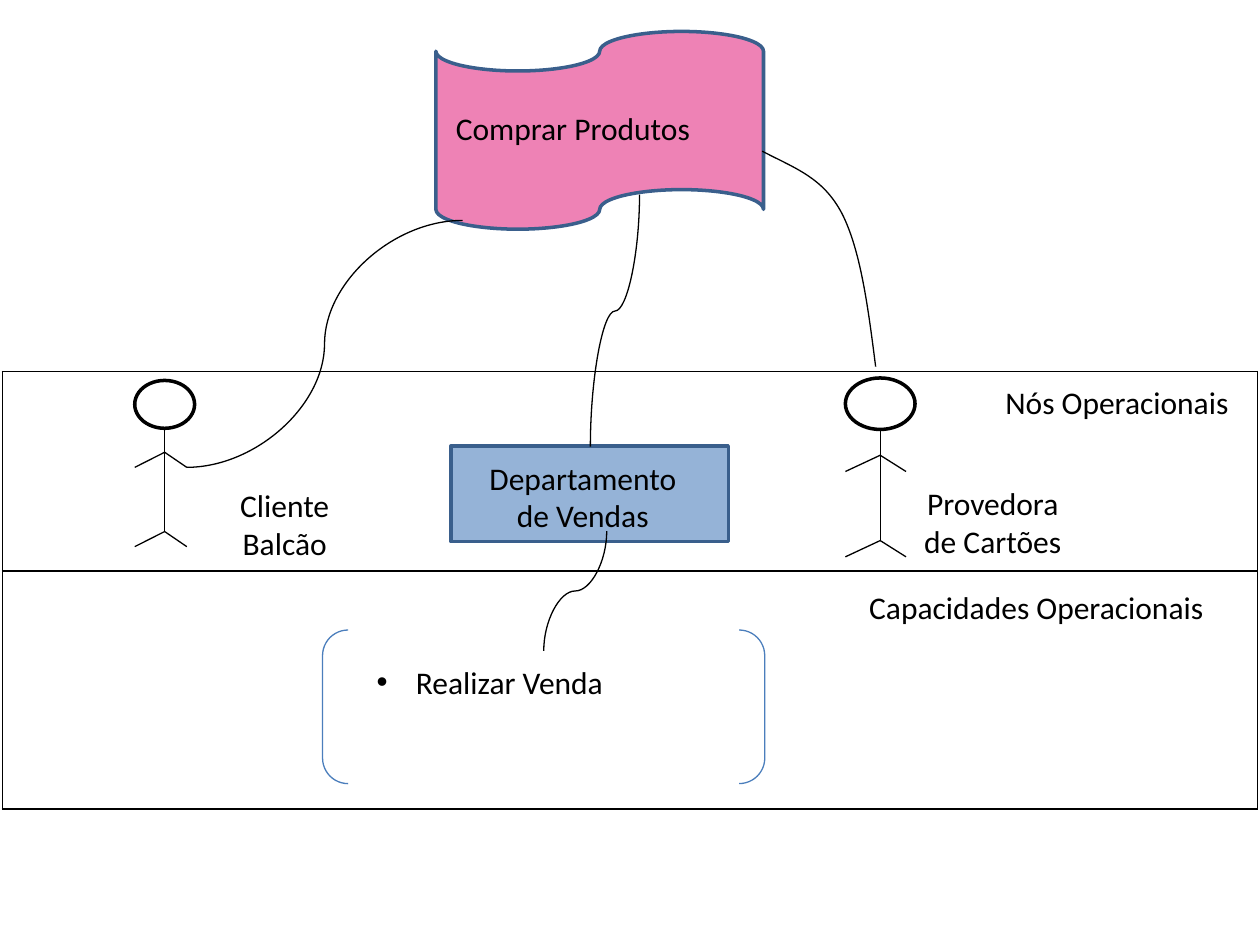
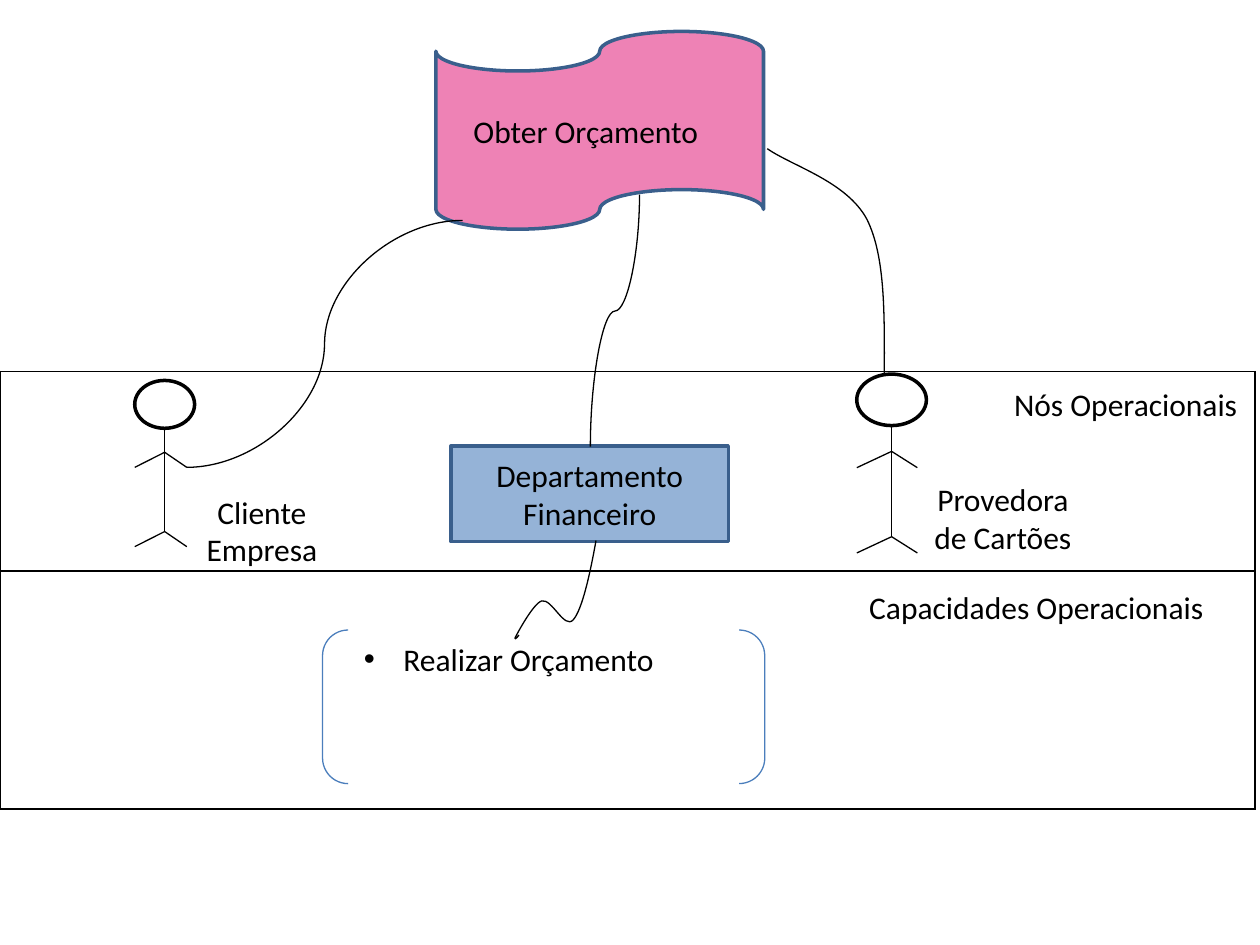
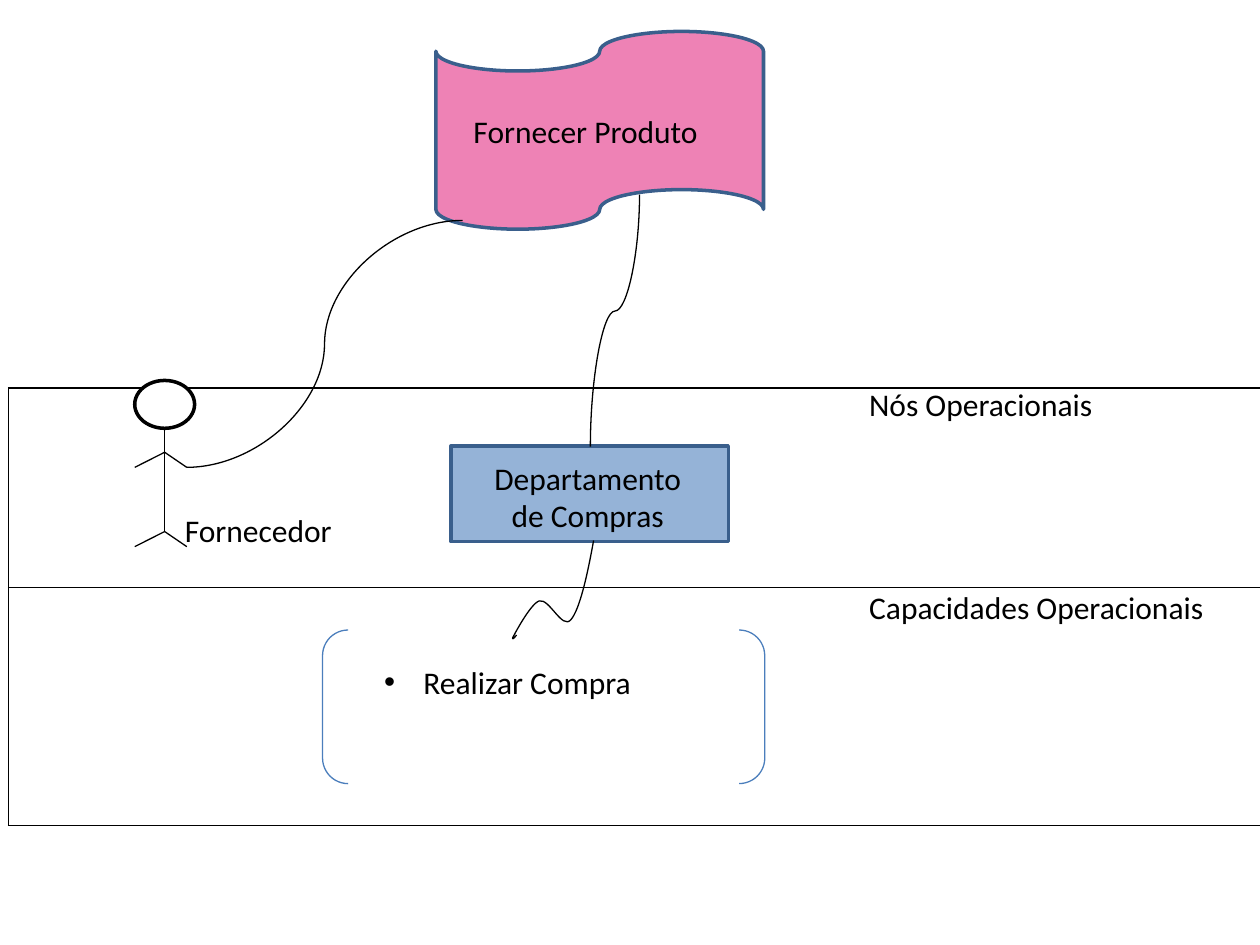
"""Build three operational node diagrams, one for each business process."""
from pptx import Presentation
from pptx.dml.color import RGBColor
from pptx.enum.shapes import MSO_CONNECTOR, MSO_SHAPE
from pptx.enum.text import MSO_ANCHOR, MSO_AUTO_SIZE, PP_ALIGN
from pptx.oxml.ns import qn
from pptx.util import Pt
from lxml.etree import SubElement

BLACK = RGBColor(0, 0, 0)
WHITE = RGBColor(255, 255, 255)
PINK = RGBColor(0xEE, 0x82, 0xB5)
BLUE = RGBColor(0x95, 0xB3, 0xD7)
NAVY = RGBColor(0x3A, 0x5F, 0x8C)
STEEL = RGBColor(0x4B, 0x7E, 0xBC)
FONT, SIZE = "Calibri", 18

WIDE = 717.1
ROWS = (113.8, 136.1)
TAPE = (249.1, 18, 187.2, 113)
DEPT = (257.8, 254.9, 158.4, 54.7)
PAIR = (184.3, 360, 252.7, 87.8)
CLIENT = (77, 217.4, 34.2, 95)
CARD = (39.8, 102.2)
SKILLS = ("Capacidades Operacionais", (489.6, 332.6, 215.3, 29))
NODES = "Nós Operacionais"
CARDS = "Provedora de Cartões"
HEAD = 0.288
LIMBS = [
    ((0.5, HEAD), (0.5, 0.909)),
    ((0.5, 0.909), (0, 1)),
    ((0.5, 0.909), (0.87, 1)),
    ((0, 0.523), (0.5, 0.432)),
    ((0.5, 0.432), (0.87, 0.523)),
]
WAVE = [
    (340.6, 308.9), (337, 329), (332.6, 348.5), (327.6, 354.2), (322.6, 360),
    (315.4, 342), (309.6, 343.4), (304.6, 344.9), (295.2, 362.9),
    (295.2, 362.9), (293, 366.5), (295.2, 365), (296.6, 362.9),
]

SLIDES = [
    {
        "grid": (1.4, 212.4),
        "left": [("Comprar Produtos", (253.4, 59, 169.9, 29)),
                 (NODES, (567.4, 215.3, 226.8, 29))],
        "mid": [("Cliente Balcão", (111.6, 274.3, 102.2, 51)),
                ("Departamento de Vendas", (265, 258.5, 136.1, 51)),
                (CARDS, (516.2, 272.9, 102.2, 51))],
        "item": ("Realizar Venda", (208.1, 375.1, 215.3, 29)),
        "card": (483.1, 216),
        "arc": [(500.4, 209.5), (496.1, 175.7), (491.8, 142.6), (481, 121.7),
                (470.2, 101.5), (455, 96.5), (435.6, 86.4)],
        "drop": (294.5, 319.7, 68.4, 36),
    },
    {
        "grid": (0, 212.4),
        "left": [("Obter Orçamento", (263.5, 60.5, 158.4, 29)),
                 (NODES, (572.4, 216.7, 226.8, 29))],
        "mid": [("Cliente Empresa", (98.6, 277.9, 102.2, 51)),
                (CARDS, (522, 270.7, 102.2, 51))],
        "dept": "Departamento Financeiro",
        "item": ("Realizar Orçamento", (200.9, 362.2, 223.9, 29)),
        "card": (489.6, 213.8),
        "arc": [(505.4, 214.6), (505.4, 180.7), (506.2, 146.9), (495.4, 125.3),
                (483.8, 103.7), (452.9, 95), (438.5, 85)],
        "wave": 0,
    },
    {
        "grid": (5, 221.8),
        "left": [("Fornecer Produto", (263.5, 60.5, 158.4, 29)),
                 (NODES, (489.6, 216.7, 226.8, 29))],
        "mid": [("Fornecedor", (96.5, 288.7, 102.2, 29)),
                ("Departamento de Compras", (264.2, 258.5, 143.3, 51))],
        "item": ("Realizar Compra", (212.4, 375.1, 223.9, 29)),
        "wave": -1.4,
    },
]


def pts(vals):
    return [Pt(val) for val in vals]


def ink(line, color=BLACK, width=0.75):
    line.color.rgb = color
    line.width = Pt(width)


def write(frame, text, align):
    frame.word_wrap = True
    par = frame.paragraphs[0]
    par.alignment = align
    run = par.add_run()
    run.text = text
    run.font.name, run.font.size = FONT, Pt(SIZE)
    run.font.color.rgb = BLACK
    return par


def label(slide, text, box, align=PP_ALIGN.LEFT):
    frame = slide.shapes.add_textbox(*pts(box)).text_frame
    frame.auto_size = MSO_AUTO_SIZE.SHAPE_TO_FIT_TEXT
    return write(frame, text, align)


def bullet(par):
    props = par._p.get_or_add_pPr()
    props.set("marL", str(Pt(22.5)))
    props.set("indent", str(-Pt(22.5)))
    SubElement(props, qn("a:buFont"), typeface="Arial")
    SubElement(props, qn("a:buChar"), char="•")


def shape(shapes, kind, box, fill, color, width):
    item = shapes.add_shape(kind, *pts(box))
    item.shadow.inherit = False
    if fill is None:
        item.fill.background()
    else:
        item.fill.solid()
        item.fill.fore_color.rgb = fill
    ink(item.line, color, width)
    return item


def link(shapes, start, end, kind=MSO_CONNECTOR.STRAIGHT):
    item = shapes.add_connector(kind, *pts(start + end))
    ink(item.line)
    SubElement(item._element.spPr, qn("a:effectLst"))
    return item


def fall(slide, box, bend=50000):
    left, top, width, height = box
    item = link(slide.shapes, (left, top), (left + width, top + height),
                MSO_CONNECTOR.CURVE)
    props = item._element.spPr
    props.find(qn("a:xfrm")).set("rot", "5400000")
    geom = props.find(qn("a:prstGeom"))
    guides = geom.find(qn("a:avLst"))
    if guides is None:
        guides = SubElement(geom, qn("a:avLst"))
    SubElement(guides, qn("a:gd"), name="adj1", fmla=f"val {bend}")


def curve(slide, knots, shift=0):
    spots = [(Pt(x + shift), Pt(y)) for x, y in knots]
    maker = slide.shapes.build_freeform(*spots[0])
    maker.add_line_segments(spots[1:], close=False)
    item = maker.convert_to_shape()
    item.shadow.inherit = False
    item.fill.background()
    ink(item.line)
    steps = list(item._element.iter(qn("a:lnTo")))
    for first, *rest in zip(steps[::3], steps[1::3], steps[2::3]):
        first.tag = qn("a:cubicBezTo")
        for step in rest:
            first.append(step[0])
            step.getparent().remove(step)


def figure(slide, left, top, width, height):
    shapes = slide.shapes.add_group_shape().shapes
    shape(shapes, MSO_SHAPE.FLOWCHART_CONNECTOR,
          (left, top, width, HEAD * height), WHITE, BLACK, 2)
    for limb in LIMBS:
        start, end = [(left + x * width, top + y * height) for x, y in limb]
        link(shapes, start, end)


def grid(slide, left, top):
    table = slide.shapes.add_table(
        len(ROWS), 1, *pts((left, top, WIDE, sum(ROWS)))).table
    table.first_row = table.horz_banding = False
    for row, height in zip(table.rows, ROWS):
        row.height = Pt(height)
        cell = row.cells[0]
        props = cell._tc.get_or_add_tcPr()
        for side in "LRTB":
            edge = SubElement(props, qn(f"a:ln{side}"), w=str(Pt(1)))
            fill = SubElement(edge, qn("a:solidFill"))
            SubElement(fill, qn("a:srgbClr"), val=str(BLACK))
        cell.fill.background()


def draw(slide, data):
    shapes = slide.shapes
    grid(slide, *data["grid"])
    shape(shapes, MSO_SHAPE.FLOWCHART_PUNCHED_TAPE, TAPE, PINK, NAVY, 2)
    dept = shape(shapes, MSO_SHAPE.RECTANGLE, DEPT, BLUE, NAVY, 2)
    if "dept" in data:
        dept.text_frame.vertical_anchor = MSO_ANCHOR.MIDDLE
        write(dept.text_frame, data["dept"], PP_ALIGN.CENTER)
    figure(slide, *CLIENT)
    fall(slide, (279.4, 169.2, 144, 28.1), 46200)
    link(shapes, (106.6, 267.1), (264.3, 126), MSO_CONNECTOR.CURVE)
    for text, box in data["left"] + [SKILLS]:
        label(slide, text, box)
    for text, box in data["mid"]:
        label(slide, text, box, PP_ALIGN.CENTER)
    shape(shapes, MSO_SHAPE.DOUBLE_BRACKET, PAIR, None, STEEL, 0.75)
    bullet(label(slide, *data["item"]))
    if "drop" in data:
        fall(slide, data["drop"])
    if "wave" in data:
        curve(slide, WAVE, data["wave"])
    if "card" in data:
        figure(slide, *data["card"], *CARD)
        curve(slide, data["arc"])


def main():
    deck = Presentation()
    deck.slide_width, deck.slide_height = Pt(720), Pt(540)
    for data in SLIDES:
        draw(deck.slides.add_slide(deck.slide_layouts[6]), data)
    deck.save("out.pptx")


main()
